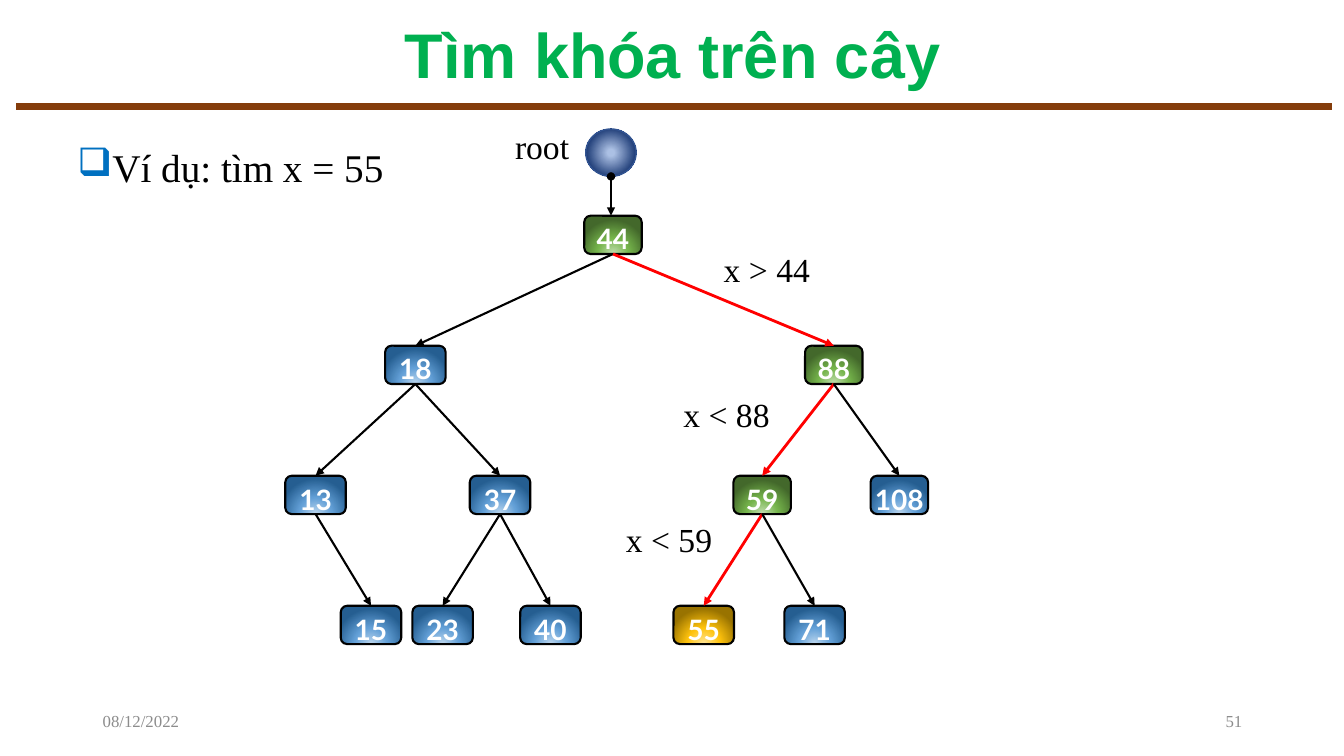
from lxml import etree
from pptx import Presentation
from pptx.dml.color import RGBColor
from pptx.enum.shapes import MSO_CONNECTOR as Connector, MSO_SHAPE as Shape
from pptx.enum.text import MSO_ANCHOR as Anchor, PP_ALIGN as Align
from pptx.oxml.ns import qn
from pptx.util import Inches, Pt

SERIF = "Times New Roman"
BLUE = [(0, "BDD7EE"), (46, "63A0D7"), (100, "255E91")]
GREEN = [(0, "C5E0B4"), (46, "76B54C"), (100, "43682B")]
GOLD = [(0, "FFE699"), (46, "FFC30D"), (100, "997300")]
ROOT_BALL = [(10, "ABC0E4"), (85, "002060"), (100, "ABC0E4"), (100, "C7D5ED")]

deck = Presentation()
deck.slide_width, deck.slide_height = Inches(13.33), Inches(7.5)
page = deck.slides.add_slide(deck.slide_layouts[5])
shapes = page.shapes


def write(shape, text, size=24, font=SERIF, color="000000", bold=False,
          align=Align.LEFT, anchor=Anchor.TOP, spacing=1.0, wrap=True, bullet=None):
    frame = shape.text_frame
    frame.word_wrap = wrap
    frame.vertical_anchor = anchor
    para = frame.paragraphs[0]
    para.alignment = align
    para.line_spacing = spacing
    if bullet:
        sign, sign_color, indent = bullet
        props = para._p.get_or_add_pPr()
        props.set("marL", str(Inches(indent)))
        props.set("indent", str(-Inches(indent)))
        holder = etree.SubElement(props, qn("a:buClr"))
        etree.SubElement(holder, qn("a:srgbClr"), val=sign_color)
        etree.SubElement(props, qn("a:buChar"), char=sign)
    span = para.add_run()
    span.text = text
    span.font.name, span.font.size, span.font.bold = font, Pt(size), bold
    span.font.color.rgb = RGBColor.from_string(color)


def style(shape, color, width, stops=None, focus=(50, 50), head=None, tail=None):
    """Set the outline, plus a radial fill for shapes or arrowheads for connectors."""
    shape.line.color.rgb = RGBColor.from_string(color)
    shape.line.width = Pt(width)
    props = shape._element.spPr
    etree.SubElement(props, qn("a:effectLst"))
    for tag, kind in (("a:headEnd", head), ("a:tailEnd", tail)):
        if kind:
            etree.SubElement(props.find(qn("a:ln")), qn(tag), type=kind)
    if stops:
        shape.fill.gradient()
        fill = props.find(qn("a:gradFill"))
        for child in list(fill):
            fill.remove(child)
        stop_list = etree.SubElement(fill, qn("a:gsLst"))
        for position, stop_color in stops:
            stop = etree.SubElement(stop_list, qn("a:gs"), pos=str(position * 1000))
            etree.SubElement(stop, qn("a:srgbClr"), val=stop_color)
        radial = etree.SubElement(fill, qn("a:path"), path="circle")
        across, down = focus
        etree.SubElement(radial, qn("a:fillToRect"),
                         l=str(across * 1000), t=str(down * 1000),
                         r=str((100 - across) * 1000), b=str((100 - down) * 1000))


# Heading
title = shapes.title
title.left, title.top, title.width, title.height = map(Inches, (0.92, 0.17, 11.5, 0.81))
write(title, "Tìm khóa trên cây", size=45, font="Arial", color="00B050", bold=True,
      align=Align.CENTER, anchor=Anchor.MIDDLE, spacing=0.9)
rule = shapes.add_connector(Connector.STRAIGHT, Inches(0.16), Inches(1.06),
                            Inches(13.21), Inches(1.06))
style(rule, "843C0B", 5)

# Text boxes: left, top, width, height, text, format
small = dict(size=12, color="8C8C8C", anchor=Anchor.MIDDLE)
label = dict(wrap=False)
for left, top, width, height, text, form in (
    (0.67, 1.19, 11.95, 5.91, "Ví dụ: tìm x = 55",
     dict(size=28, align=Align.JUSTIFY, spacing=1.4, bullet=("❑", "0070C0", 0.25))),
    (0.92, 6.95, 3, 0.4, "08/12/2022", small),
    (9.42, 6.95, 3, 0.4, "51", dict(small, align=Align.RIGHT)),
    (5.01, 1.2, 0.74, 0.5, "root", label),
    (7.08, 2.42, 1.06, 0.5, "x > 44", label),
    (6.68, 3.86, 1.06, 0.5, "x < 88", label),
    (6.11, 5.1, 1.06, 0.5, "x < 59", label),
):
    box = shapes.add_textbox(*map(Inches, (left, top, width, height)))
    write(box, text, **form)

# Tree nodes: key, centre, width, parent; one list per level
LEVELS = [
    [(44, 6.08, 0.57, "root")],
    [(18, 4.12, 0.6, 44), (88, 8.27, 0.57, 44)],
    [(13, 3.13, 0.6, 18), (37, 4.96, 0.6, 18), (59, 7.56, 0.57, 88), (108, 8.92, 0.57, 88)],
    [(15, 3.68, 0.6, 13), (23, 4.39, 0.6, 37), (40, 5.46, 0.6, 37),
     (55, 6.98, 0.6, 59), (71, 8.08, 0.6, 59)],
]
TOP, LEVEL_STEP, NODE_HEIGHT = 2.14, 1.29, 0.38
VISITED, FOUND = (44, 88, 59), 55
TOP_SITE, BOTTOM_SITE = 0, 2

ball = shapes.add_shape(Shape.OVAL, *map(Inches, (5.81, 1.28, 0.5, 0.47)))
style(ball, "325491", 1, stops=ROOT_BALL)

nodes = {}
for level, row in enumerate(LEVELS):
    for key, centre, width, parent in row:
        node = shapes.add_shape(Shape.ROUNDED_RECTANGLE, Inches(centre - width / 2),
                                Inches(TOP + level * LEVEL_STEP),
                                Inches(width), Inches(NODE_HEIGHT))
        stops = GOLD if key == FOUND else GREEN if key in VISITED else BLUE
        style(node, "000000", 1.5, stops=stops, focus=(50, 130))
        frame = node.text_frame
        frame.margin_left = frame.margin_right = frame.margin_top = frame.margin_bottom = 0
        write(node, str(key), size=20, font="Lato", color="FFFFFF", bold=True,
              align=Align.CENTER, spacing=1.13)
        nodes[key] = node

        if parent == "root":
            pointer = shapes.add_connector(Connector.STRAIGHT, Inches(6.06), Inches(1.75),
                                           Inches(6.06), Inches(TOP))
            style(pointer, "000000", 1.5, head="oval", tail="triangle")
        else:
            edge = shapes.add_connector(Connector.STRAIGHT, 0, 0, 0, 0)
            edge.begin_connect(nodes[parent], BOTTOM_SITE)
            edge.end_connect(node, TOP_SITE)
            on_path = key in VISITED or key == FOUND
            style(edge, "FF0000" if on_path else "000000", 2 if on_path else 1.5,
                  tail="triangle")

deck.save("out.pptx")
